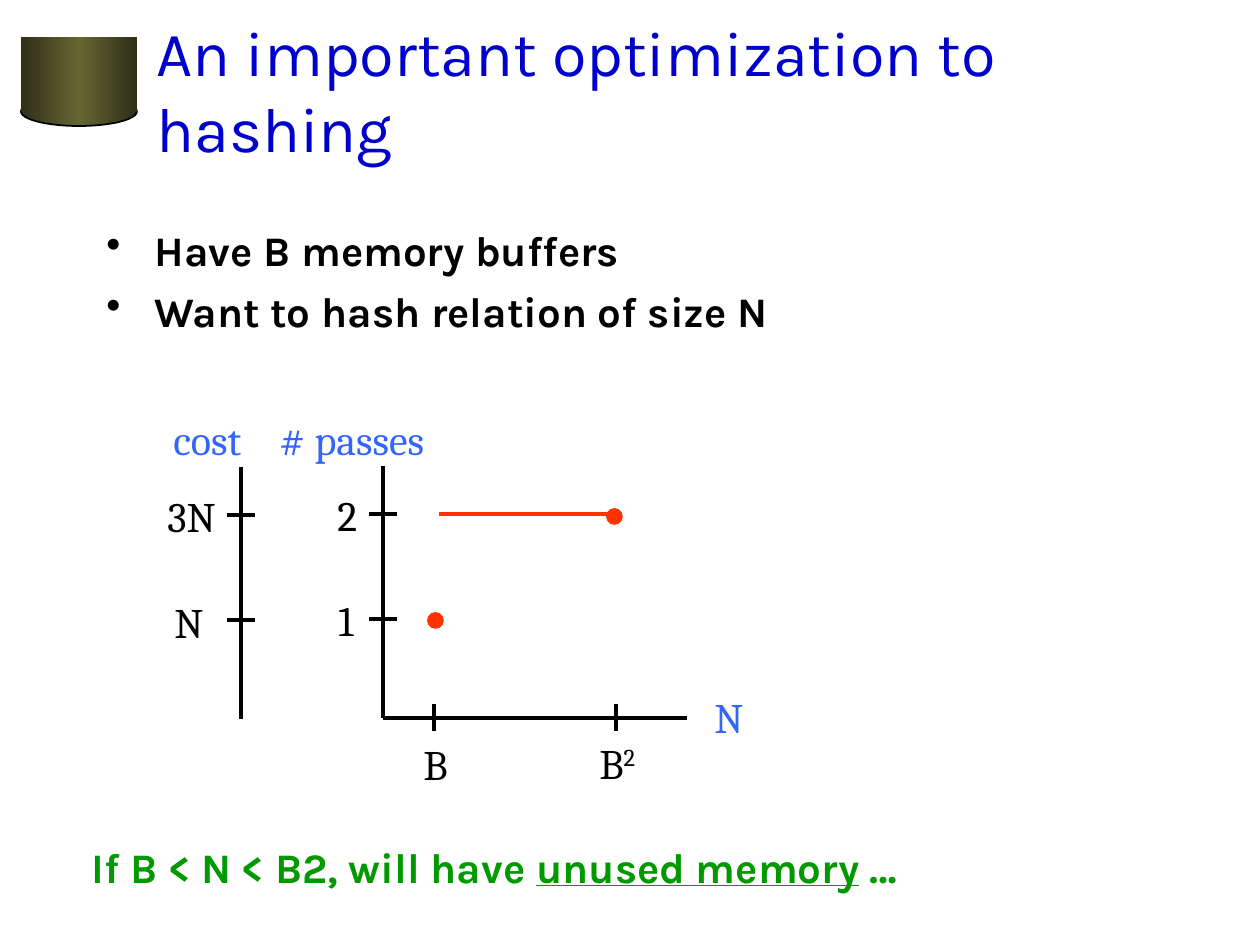
from copy import deepcopy
from lxml import etree
from pptx import Presentation
from pptx import util as u
from pptx.dml.color import RGBColor
from pptx.enum import shapes as sh, text as tx
from pptx.oxml.ns import qn

PX = 914400 // 126
BLACK, BLUE, RED, GREEN = "000000", "3365FB", "FF3300", "009900"
DARK, OLIVE = "2F2F18", "666633"
SERIF = {"name": "Cambria", "size": u.Pt(24)}
BOLD = {"name": "Karla", "size": u.Pt(24), "bold": True}
HEAD = {"name": "Karla", "size": u.Pt(36)}

TITLE = "An important optimization to hashing"
POINTS = ["Have B memory buffers", "Want to hash relation of size N"]
NOTE = [("If B < N < B2, will have ", {}),
        ("unused memory", {"underline": True}), (" …", {})]

# text, left, top, width, colour
LABELS = [
    ("N", 702, 685, 60, BLUE), ("# passes", 267, 407, 227, BLUE),
    ("cost", 161, 407, 126, BLUE),
    ("B", 411, 732, 60, BLACK), ("1", 326, 588, 50, BLACK),
    ("2", 325, 483, 50, BLACK), ("N", 162, 590, 60, BLACK),
    ("3N", 155, 484, 76, BLACK),
]
COST, PASS, BASE, END = 241, 383, 718, 687
TICK = 14
ROWS = [514, 619]
COLS = [434, 616]
DOTS = [(435, 620), (614, 516)]
DOT = 15

prs = Presentation()
prs.slide_width, prs.slide_height = 1260 * PX, 945 * PX
slide = prs.slides.add_slide(prs.slide_layouts[6])


def rgb(code):
    return RGBColor.from_string(code)


def put(para, words, style, color):
    run = para.add_run()
    run.text = words
    for key, val in style.items():
        setattr(run.font, key, val)
    run.font.color.rgb = rgb(color)
    return run


def box(*area):
    frame = slide.shapes.add_textbox(*(n * PX for n in area)).text_frame
    frame.word_wrap = True
    return frame


def line(x1, y1, x2, y2, color=BLACK):
    part = slide.shapes.add_connector(
        sh.MSO_CONNECTOR.STRAIGHT, *(n * PX for n in (x1, y1, x2, y2)))
    part.line.color.rgb = rgb(color)
    part.line.width = u.Pt(2.25)
    etree.SubElement(part._element.spPr, qn("a:effectLst"))


def shape(kind, *area, edge=None):
    part = slide.shapes.add_shape(kind, *(n * PX for n in area))
    part.shadow.inherit = False
    if edge:
        part.line.color.rgb = rgb(edge)
        part.line.width = u.Pt(1)
    else:
        part.line.fill.background()
    return part


def shade(part):
    """Fill from dark through olive and back to dark, left to right."""
    fill = part.fill
    fill.gradient()
    fill.gradient_angle = 0
    first = fill.gradient_stops[0]._gs
    first.addnext(deepcopy(first))
    for stop, color, pos in zip(fill.gradient_stops, (DARK, OLIVE, DARK), (0, 0.5, 1)):
        stop.color.rgb = rgb(color)
        stop.position = pos


def bullet(para):
    props = para._p.get_or_add_pPr()
    props.set("marL", str(48 * PX))
    props.set("indent", str(-48 * PX))
    etree.SubElement(props, qn("a:buChar")).set("char", "•")


OVAL, RECT = sh.MSO_SHAPE.OVAL, sh.MSO_SHAPE.RECTANGLE
shade(shape(OVAL, 21, 97, 116, 29, edge=BLACK))
shade(shape(RECT, 21, 37, 116, 75))

head = box(144, 10, 1079, 158)
head.vertical_anchor = tx.MSO_ANCHOR.MIDDLE
put(head.paragraphs[0], TITLE, HEAD, "0000CC")

body = box(94, 218, 1118, 585)
for i, words in enumerate(POINTS):
    para = body.add_paragraph() if i else body.paragraphs[0]
    para.space_before = u.Pt(6)
    bullet(para)
    put(para, words, BOLD, BLACK)

for words, x, y, w, color in LABELS:
    put(box(x, y, w, 63).paragraphs[0], words, SERIF, color)
power = box(587, 731, 80, 63).paragraphs[0]
put(power, "B", SERIF, BLACK)
put(power, "2", SERIF, BLACK).font._element.set("baseline", "30000")

for x, shift in ((COST, 1), (PASS, 0)):
    line(x, 466 + shift, x, BASE + shift)
    for y in ROWS:
        line(x - TICK, y + shift, x + TICK, y + shift)
line(PASS, BASE, END, BASE)
for x in COLS:
    line(x, BASE - TICK, x, BASE + TICK - 1)

line(610, ROWS[0], 439, ROWS[0], RED)
for x, y in DOTS:
    dot = shape(OVAL, x - DOT // 2, y - DOT // 2, DOT, DOT, edge=RED)
    dot.fill.solid()
    dot.fill.fore_color.rgb = rgb(RED)

note = box(79, 835, 1036, 63).paragraphs[0]
note.space_before = u.Pt(6)
for words, extra in NOTE:
    put(note, words, BOLD | extra, GREEN)

prs.save("out.pptx")
